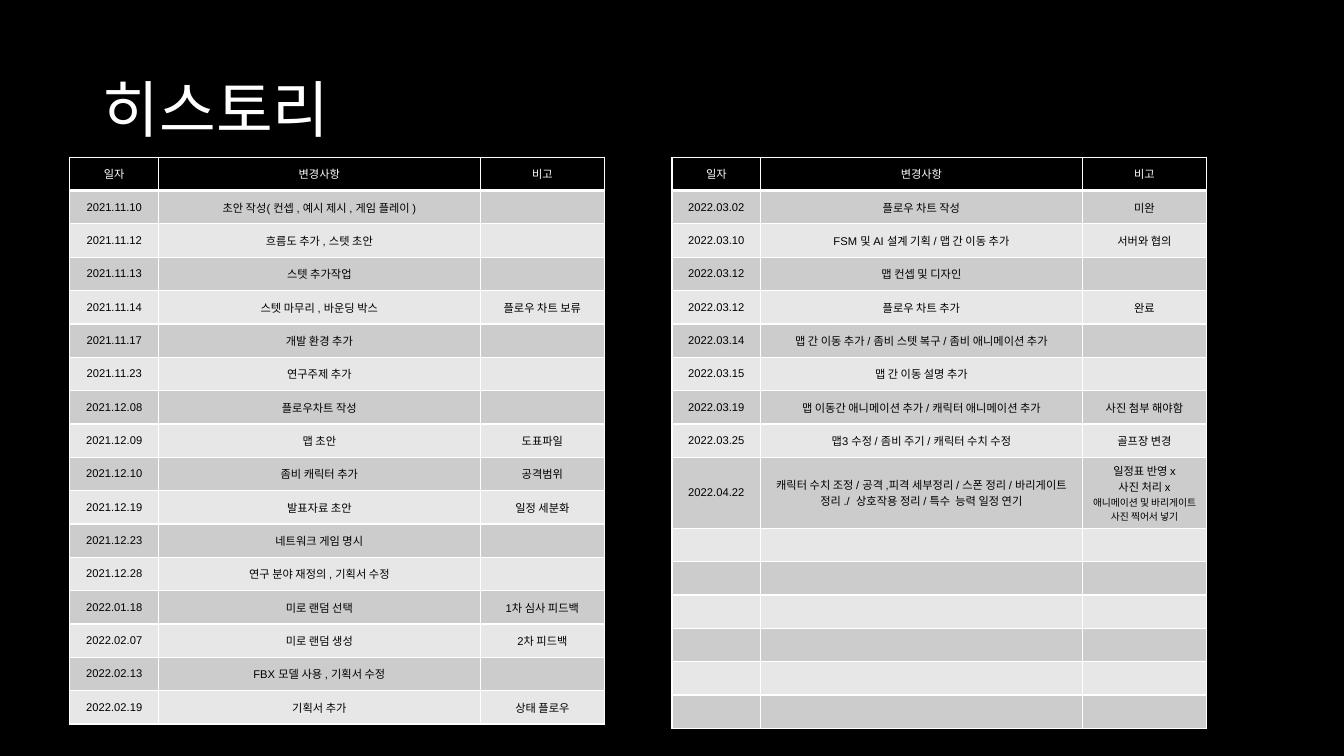
"""Build the project history slide: a title over two change-log tables."""
import pptx
import pptx.dml.color
import pptx.enum.text
import pptx.oxml
import pptx.oxml.ns
import pptx.util

THEME = {
    "back": "000000", "light": "FFFFFF", "dark": "000000",
    "bands": ("CCCCCC", "E7E7E7"),
    "title_font": "Calibri", "cell_font": "Arial",
    "title_size": 44, "cell_size": 8, "note_size": 7,
    "border": 1, "header_border": 3,
}
HEADER = ("일자", "변경사항", "비고")
COLUMN_SHARES = (0.166, 0.601, 0.233)
GRID_ROWS = 17
LOG_2021 = [
    ("2021.11.10", "초안 작성( 컨셉 , 예시 제시 , 게임 플레이 )", ""),
    ("2021.11.12", "흐름도 추가 , 스텟 초안", ""),
    ("2021.11.13", "스텟 추가작업", ""),
    ("2021.11.14", "스텟 마무리 , 바운딩 박스", "플로우 차트 보류"),
    ("2021.11.17", "개발 환경 추가", ""),
    ("2021.11.23", "연구주제 추가", ""),
    ("2021.12.08", "플로우차트 작성", ""),
    ("2021.12.09", "맵 초안", "도표파일"),
    ("2021.12.10", "좀비 캐릭터 추가", "공격범위"),
    ("2021.12.19", "발표자료 초안", "일정 세분화"),
    ("2021.12.23", "네트워크 게임 명시", ""),
    ("2021.12.28", "연구 분야 재정의 , 기획서 수정", ""),
    ("2022.01.18", "미로 랜덤 선택", "1차 심사 피드백"),
    ("2022.02.07", "미로 랜덤 생성", "2차 피드백"),
    ("2022.02.13", "FBX 모델 사용 , 기획서 수정", ""),
    ("2022.02.19", "기획서 추가", "상태 플로우"),
]
LOG_2022 = [
    ("2022.03.02", "플로우 차트 작성", "미완"),
    ("2022.03.10", "FSM 및 AI 설계 기획 / 맵 간 이동 추가", "서버와 협의"),
    ("2022.03.12", "맵 컨셉 및 디자인", ""),
    ("2022.03.12", "플로우 차트 추가", "완료"),
    ("2022.03.14", "맵 간 이동 추가 / 좀비 스텟 복구 / 좀비 애니메이션 추가", ""),
    ("2022.03.15", "맵 간 이동 설명 추가", ""),
    ("2022.03.19", "맵 이동간 애니메이션 추가 / 캐릭터 애니메이션 추가", "사진 첨부 해야함"),
    ("2022.03.25", "맵3 수정 / 좀비 주기 / 캐릭터 수치 수정", "골프장 변경"),
    ("2022.04.22",
     "캐릭터 수치 조정 / 공격 ,피격 세부정리 / 스폰 정리 / "
     "바리게이트 정리 ./  상호작용 정리 / 특수  능력 일정 연기",
     "일정표 반영 x\n사진 처리 x\n애니메이션 및 바리게이트 사진 찍어서 넣기"),
] + [("", "", "")] * 6
TALL_ROW = 9

prs = pptx.Presentation()
prs.slide_width = pptx.util.Inches(13.33)
prs.slide_height = pptx.util.Inches(7.5)


def percent(*box):
    """Turn left, top, width, height in percent of the slide into lengths."""
    sides = (prs.slide_width, prs.slide_height) * 2
    return [round(side * share / 100) for side, share in zip(sides, box)]


def style_cell(cell, fill, color, bottom):
    """Give a table cell its borders, fill and text format."""
    tcPr = cell._tc.get_or_add_tcPr()
    for side, width in zip("LRTB", (THEME["border"],) * 3 + (bottom,)):
        tcPr.append(pptx.oxml.parse_xml(
            f'<a:ln{side} {pptx.oxml.ns.nsdecls("a")} w="{pptx.util.Pt(width)}"><a:solidFill>'
            f'<a:srgbClr val="{THEME["light"]}"/></a:solidFill></a:ln{side}>'))
    cell.fill.solid()
    cell.fill.fore_color.rgb = pptx.dml.color.RGBColor.from_string(fill)
    cell.vertical_anchor = pptx.enum.text.MSO_ANCHOR.MIDDLE
    for p in cell.text_frame.paragraphs:
        p.alignment = pptx.enum.text.PP_ALIGN.CENTER
        p.font.size = pptx.util.Pt(THEME["cell_size"])
        p.font.name = THEME["cell_font"]
        p.font.bold = False
        p.font.color.rgb = pptx.dml.color.RGBColor.from_string(color)


s = prs.slides.add_slide(prs.slide_layouts[5])
s.background.fill.solid()
s.background.fill.fore_color.rgb = pptx.dml.color.RGBColor.from_string(THEME["back"])

title = s.shapes.title
title.left, title.top, title.width, title.height = percent(6.9, 5.3, 86.25, 19.3)
tf = title.text_frame
tf.text = "히스토리"
tf.vertical_anchor = pptx.enum.text.MSO_ANCHOR.MIDDLE
p = tf.paragraphs[0]
p.alignment = pptx.enum.text.PP_ALIGN.LEFT
p.line_spacing = 0.9
p.font.size = pptx.util.Pt(THEME["title_size"])
p.font.name = THEME["title_font"]
p.font.color.rgb = pptx.dml.color.RGBColor.from_string(THEME["light"])

tables = []
for left, log in ((5.2, LOG_2021), (50, LOG_2022)):
    rows = [HEADER] + log
    box = percent(left, 20.8, 39.8, 75)
    table = s.shapes.add_table(len(rows), len(HEADER), *box).table
    for column, share in zip(table.columns, COLUMN_SHARES):
        column.width = round(box[2] * share)
    for r, texts in enumerate(rows):
        table.rows[r].height = round(box[3] / GRID_ROWS)
        for c, text in enumerate(texts):
            cell = table.cell(r, c)
            cell.text = text
            if r == 0:
                style_cell(cell, THEME["back"], THEME["light"], THEME["header_border"])
            else:
                style_cell(cell, THEME["bands"][(r - 1) % 2], THEME["dark"], THEME["border"])
    tables.append(table)

table = tables[1]
table.rows[TALL_ROW].height *= 2
note = table.cell(TALL_ROW, 2).text_frame.paragraphs[-1]
note.font.size = pptx.util.Pt(THEME["note_size"])

prs.save("out.pptx")
